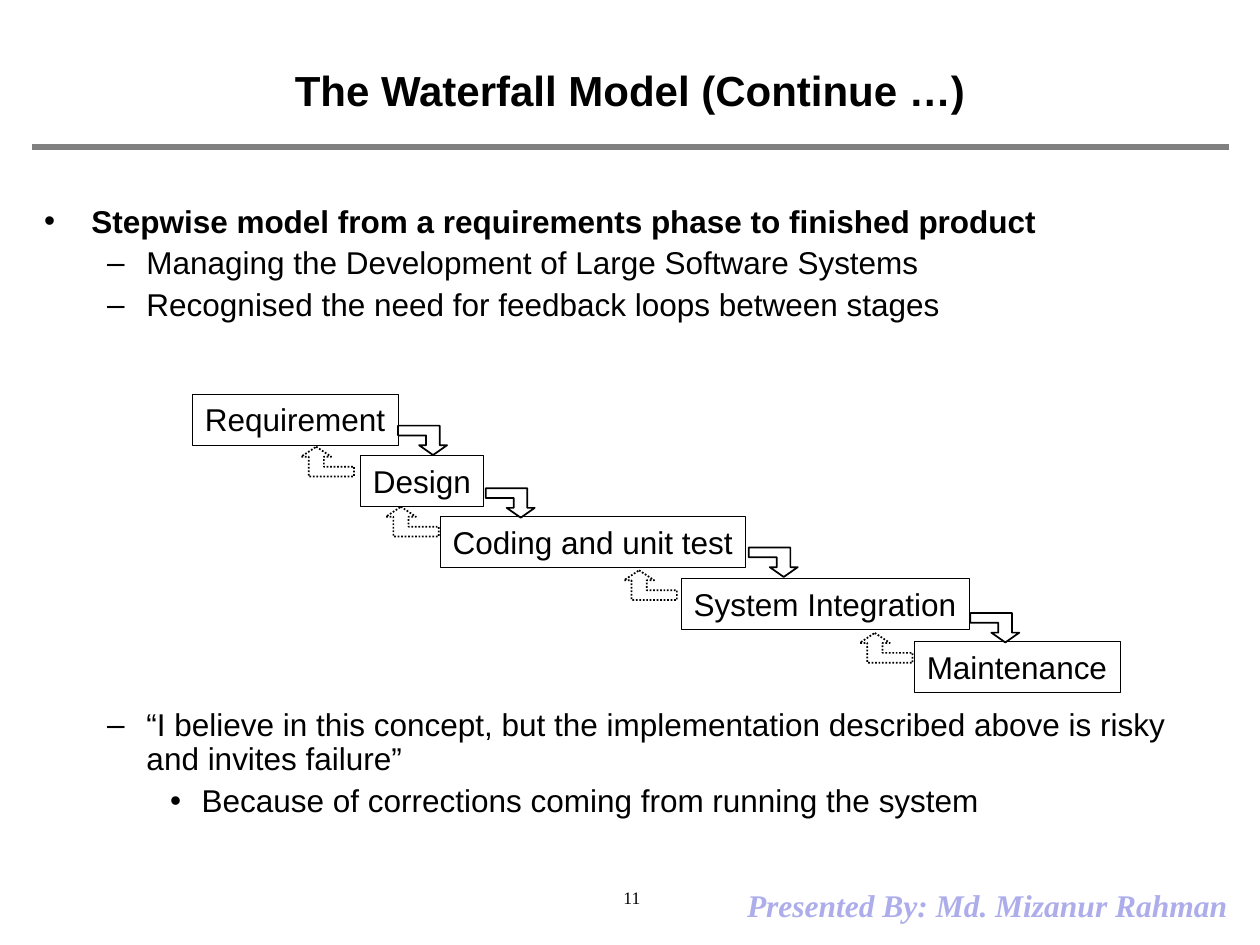
from lxml import etree
from pptx import Presentation
from pptx.dml.color import RGBColor
from pptx.enum.dml import MSO_LINE
from pptx.enum.shapes import MSO_CONNECTOR, MSO_SHAPE
from pptx.enum.text import MSO_ANCHOR, MSO_AUTO_SIZE, PP_ALIGN
from pptx.oxml.ns import qn
from pptx.util import Pt

BLACK = RGBColor(0x00, 0x00, 0x00)
GRAY = RGBColor(0x80, 0x80, 0x80)
LAVENDER = RGBColor(0xAD, 0xAD, 0xEB)
SANS, SERIF = "Arial", "Times New Roman"
LEFT, CENTER, RIGHT = PP_ALIGN.LEFT, PP_ALIGN.CENTER, PP_ALIGN.RIGHT
MIDDLE, TOP = MSO_ANCHOR.MIDDLE, MSO_ANCHOR.TOP
RECTANGLE, STRAIGHT = MSO_SHAPE.RECTANGLE, MSO_CONNECTOR.STRAIGHT
DOTTED, NO_FIT = MSO_LINE.ROUND_DOT, MSO_AUTO_SIZE.NONE

# Bullet, left margin and hanging indent of each list level
LEVELS = [("•", 27, 27), ("–", 58.5, 22.5), ("•", 90, 18)]
BULLETS = [
    # level, space before, bold, text
    (0, 0, True, "Stepwise model from a requirements phase to finished product"),
    (1, 4.5, False, "Managing the Development of Large Software Systems"),
    (1, 4.5, False, "Recognised the need for feedback loops between stages"),
    (1, 220.5, False, "“I believe in this concept, but the implementation "
                      "described above is risky and invites failure”"),
    (2, 4.5, False, "Because of corrections coming from running the system"),
]
STAGES = [
    # left, top, width, text
    (110, 225.3, 117.5, "Requirement"),
    (206, 260.3, 70.5, "Design"),
    (251.6, 295.2, 174.5, "Coding and unit test"),
    (389.3, 330.5, 164.5, "System Integration"),
    (522.5, 366.5, 117.5, "Maintenance"),
]
STAGE_HEIGHT = 29

# Outlines measured from the top left corner of each arrow
FORWARD = [(20, 16.8), (12, 11.2), (16, 11.2), (16, 5.6), (0, 5.6),
           (0, 0), (23.8, 0), (23.8, 11.2), (28, 11.2)]
FEEDBACK = [(8.6, 0), (17.2, 5.7), (13, 5.7), (13, 11.4), (30.2, 11.4),
            (30.2, 17), (4.3, 17), (4.3, 5.7), (0, 5.7)]
FORWARD_AT = [(227.5, 243.2), (277.6, 279), (427.9, 312.9), (554.5, 350.3)]
FEEDBACK_AT = [(172.1, 255.3), (220.5, 289.6), (356.6, 325.9), (491.3, 361.7)]


class SlideBuilder:
    def __init__(self, slide):
        self.s = slide
        self.style = {"name": SANS, "size": Pt(18), "bold": False,
                      "italic": False}

    def add_text(self, p, text, color=BLACK, **changes):
        r = p.add_run()
        r.text = text
        for key, value in {**self.style, **changes}.items():
            setattr(r.font, key, value)
        r.font.color.rgb = color

    def place(self, sp, left, top, width, height):
        sp.left, sp.top = Pt(left), Pt(top)
        sp.width, sp.height = Pt(width), Pt(height)

    def frame(self, sp, wrap=True, anchor=TOP):
        tf = sp.text_frame
        tf.auto_size, tf.word_wrap, tf.vertical_anchor = NO_FIT, wrap, anchor
        return tf

    def rule(self, x1, x2, y):
        line = self.s.shapes.add_connector(STRAIGHT, Pt(x1), Pt(y), Pt(x2), Pt(y))
        line.line.color.rgb, line.line.width = GRAY, Pt(3)
        etree.SubElement(line._element.spPr, qn("a:effectLst"))

    def text(self, box, text, align, **changes):
        sp = self.s.shapes.add_textbox(*map(Pt, box))
        p = self.frame(sp).paragraphs[0]
        p.alignment = align
        self.add_text(p, text, **changes)

    def title(self, box, text):
        sp = self.s.shapes.title
        self.place(sp, *box)
        p = self.frame(sp, anchor=MIDDLE).paragraphs[0]
        p.alignment = CENTER
        self.add_text(p, text, size=Pt(24), bold=True)

    def bullets(self, box, items):
        sp = self.s.placeholders[1]
        self.place(sp, *box)
        tf = self.frame(sp)
        for i, (level, before, bold, text) in enumerate(items):
            p = tf.add_paragraph() if i else tf.paragraphs[0]
            self.bullet(p, level)
            p.line_spacing, p.space_before = 0.9, Pt(before)
            self.add_text(p, text, bold=bold)

    def bullet(self, p, level):
        mark, margin, hanging = LEVELS[level]
        p.level = level
        pPr = p._p.get_or_add_pPr()
        pPr.set("marL", str(Pt(margin)))
        pPr.set("indent", str(-Pt(hanging)))
        color = etree.SubElement(pPr, qn("a:buClr"))
        etree.SubElement(color, qn("a:srgbClr"), val=str(BLACK))
        etree.SubElement(pPr, qn("a:buFont"), typeface=SANS)
        etree.SubElement(pPr, qn("a:buChar"), char=mark)

    def outline(self, sp, width):
        sp.shadow.inherit = False
        sp.fill.background()
        sp.line.color.rgb, sp.line.width = BLACK, Pt(width)

    def stage(self, left, top, width, text):
        sp = self.s.shapes.add_shape(
            RECTANGLE, *map(Pt, (left, top, width, STAGE_HEIGHT)))
        self.outline(sp, 0.5)
        p = self.frame(sp, wrap=False).paragraphs[0]
        p.alignment = LEFT
        self.add_text(p, text)

    def arrow(self, points, left, top, dash=None):
        corners = [(Pt(left + x), Pt(top + y)) for x, y in points]
        builder = self.s.shapes.build_freeform(*corners[0])
        builder.add_line_segments(corners[1:], close=True)
        sp = builder.convert_to_shape()
        self.outline(sp, 1)
        if dash:
            sp.line.dash_style = dash


def main():
    prs = Presentation()
    prs.slide_width, prs.slide_height = Pt(720), Pt(540)
    b = SlideBuilder(prs.slides.add_slide(prs.slide_layouts[1]))

    b.rule(18, 702, 84)
    b.text((417, 502.5, 291.5, 29), "Presented By: Md. Mizanur Rahman", RIGHT,
           color=LAVENDER, name=SERIF, bold=True, italic=True)
    b.text((269.3, 503.3, 183.5, 19.5), "11", CENTER, name=SERIF, size=Pt(10))
    b.title((18, 24, 684, 54), "The Waterfall Model (Continue …)")
    b.bullets((18, 114, 684, 366), BULLETS)

    for stage in STAGES:
        b.stage(*stage)
    for at in FORWARD_AT:
        b.arrow(FORWARD, *at)
    for at in FEEDBACK_AT:
        b.arrow(FEEDBACK, *at, dash=DOTTED)

    prs.save("out.pptx")


if __name__ == "__main__":
    main()
